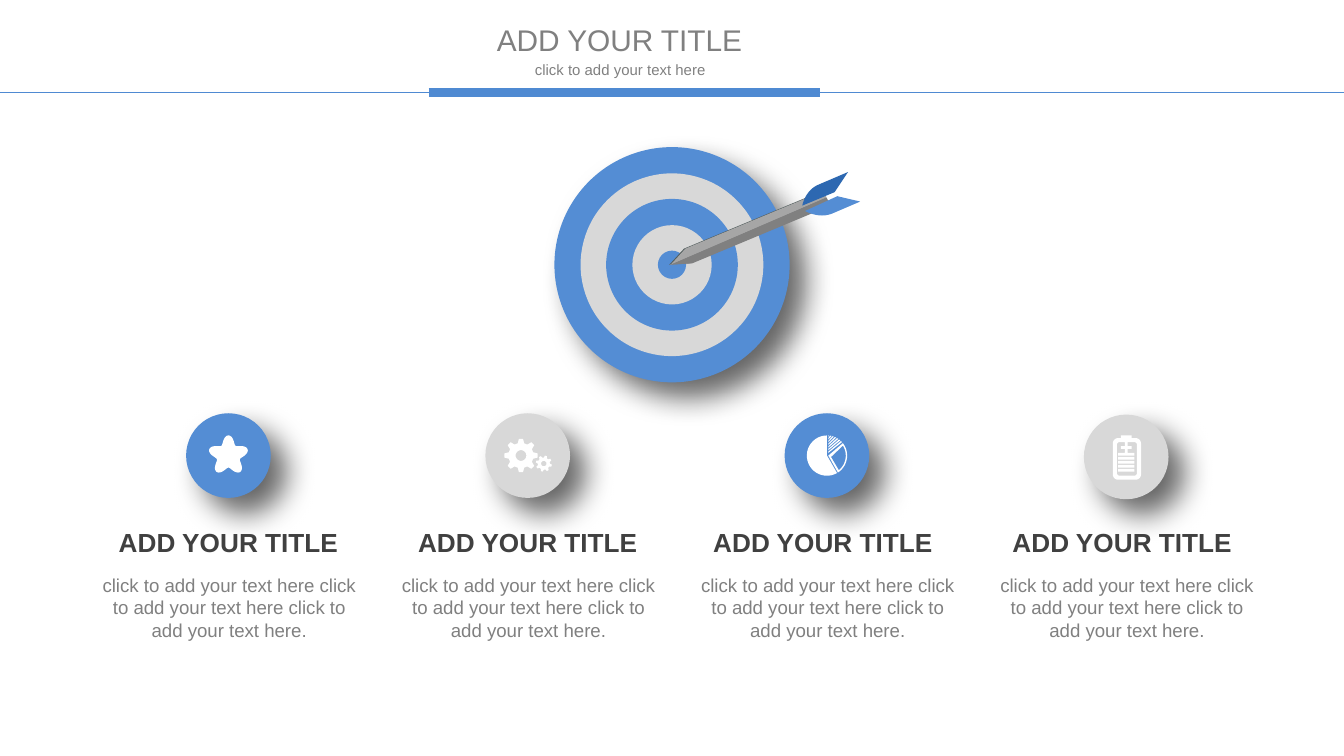
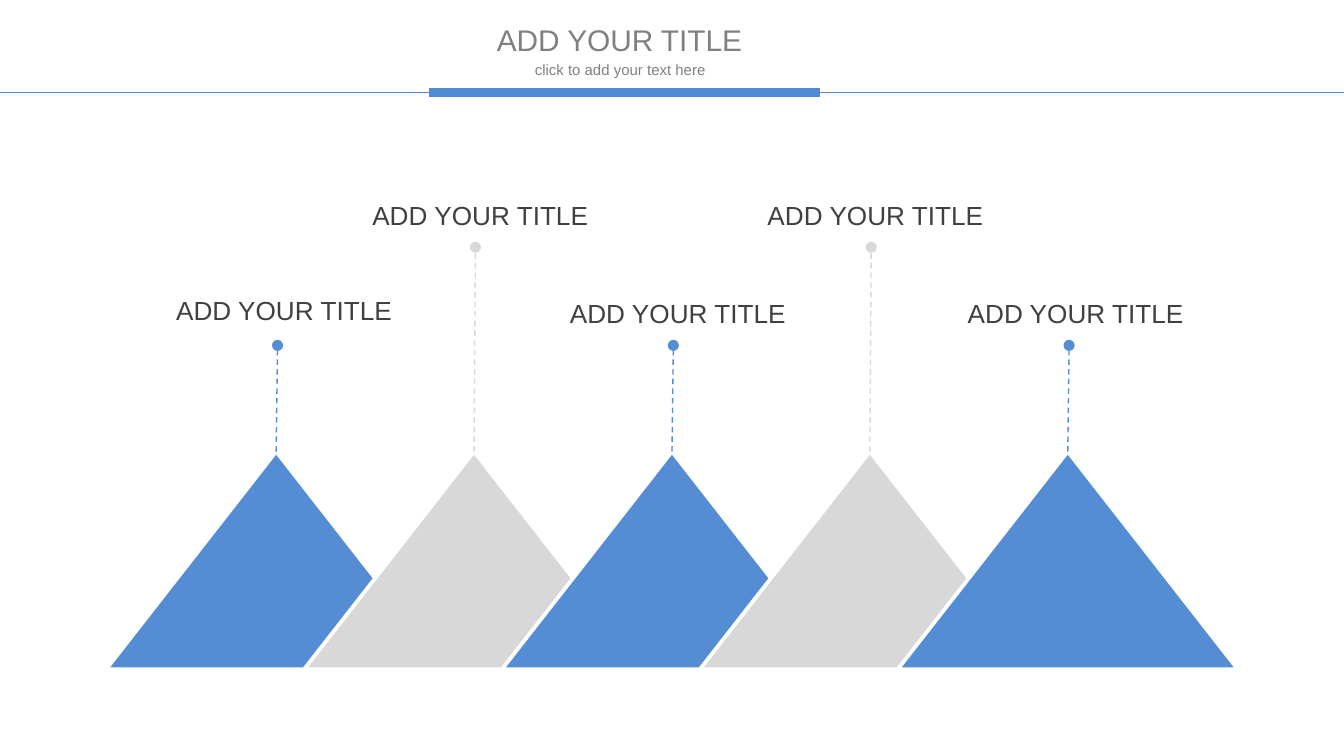
from math import cos, radians, sin

from pptx import Presentation
from pptx.dml.color import RGBColor
from pptx.enum.dml import MSO_LINE
from pptx.enum.shapes import MSO_CONNECTOR, MSO_SHAPE
from pptx.enum.text import MSO_ANCHOR, MSO_AUTO_SIZE, PP_ALIGN
from pptx.oxml.ns import qn
from pptx.util import Inches, Pt
from lxml.etree import SubElement

COLORS = {
    "blue": "548DD4", "band": "4F8AD2", "deep": "2D68B1", "silver": "D8D8D8",
    "white": "FFFFFF", "edge": "FEFFFF", "grey": "808080", "dark": "404040",
    "shaft_edge": "515D5D", "shaft_shade": "828286", "shaft_light": "A6A6A6",
}
FONT = "Arial"
TITLE = "ADD YOUR TITLE"
HINT = "click to add your text here"
BODY = " ".join([HINT] * 3) + "."
TIGHT = (0.07, 0.04)
DISC = 0.63


def rgb(name):
    return RGBColor.from_string(COLORS[name])


def put_text(sp, text, size, color, align=PP_ALIGN.CENTER, bold=False,
             wrap=True, inset=(0.1, 0.05)):
    tf = sp.text_frame
    tf.text = text
    tf.word_wrap = wrap
    tf.auto_size = MSO_AUTO_SIZE.SHAPE_TO_FIT_TEXT
    tf.vertical_anchor = MSO_ANCHOR.TOP
    tf.margin_left = tf.margin_right = Inches(inset[0])
    tf.margin_top = tf.margin_bottom = Inches(inset[1])
    p = tf.paragraphs[0]
    p.alignment = align
    p.font.name, p.font.size, p.font.bold = FONT, Pt(size), bold
    p.font.color.rgb = rgb(color)


def add_text(slide, box, *args, **kwargs):
    sp = slide.shapes.add_textbox(*map(Inches, box))
    put_text(sp, *args, **kwargs)


def paint(sp, color):
    sp.shadow.inherit = False
    sp.fill.solid()
    sp.fill.fore_color.rgb = rgb(color)
    sp.line.fill.background()


def add_preset(slide, kind, box, color):
    sp = slide.shapes.add_shape(kind, *map(Inches, box))
    paint(sp, color)
    return sp


def add_circle(slide, cx, cy, d, color):
    return add_preset(slide, MSO_SHAPE.OVAL, (cx - d / 2, cy - d / 2, d, d), color)


def add_line(slide, start, end, color, width):
    line = slide.shapes.add_connector(MSO_CONNECTOR.STRAIGHT,
                                      *map(Inches, (*start, *end)))
    line.line.color.rgb = rgb(color)
    line.line.width = Pt(width)
    SubElement(line._element.spPr, qn("a:effectLst"))
    return line


def drop_shadow(sp):
    effects = sp._element.spPr.find(qn("a:effectLst"))
    shadow = SubElement(effects, qn("a:outerShdw"), blurRad=str(Pt(16)),
                        dist=str(Pt(12)), dir="2700000", algn="tl",
                        rotWithShape="0")
    black = SubElement(shadow, qn("a:srgbClr"), val="000000")
    SubElement(black, qn("a:alpha"), val="60000")


def add_outline(slide, cx, cy, contours, color):
    """Fill closed contours around (cx, cy); nested ones become holes."""
    builder = None
    for contour in contours:
        points = [(Inches(cx + x), Inches(cy + y)) for x, y in contour]
        if builder is None:
            builder = slide.shapes.build_freeform(*points[0])
        else:
            builder.move_to(*points[0])
        builder.add_line_segments(points[1:], close=True)
    paint(builder.convert_to_shape(), color)


def polar(r, degrees, cx=0, cy=0):
    return cx + r * cos(radians(degrees)), cy + r * sin(radians(degrees))


def arc(r, start, end, cx=0, cy=0, steps=24):
    return [polar(r, start + (end - start) * i / steps, cx, cy)
            for i in range(steps + 1)]


def curve(p0, p1, p2, p3, steps=12):
    """Points of a cubic Bezier curve."""
    points = []
    for i in range(steps + 1):
        t = i / steps
        weights = ((1 - t) ** 3, 3 * t * (1 - t) ** 2, 3 * t * t * (1 - t), t ** 3)
        points.append(tuple(sum(w * p[axis] for w, p in zip(weights, (p0, p1, p2, p3)))
                            for axis in (0, 1)))
    return points


def rect(x, y, w, h):
    return [(x, y), (x + w, y), (x + w, y + h), (x, y + h)]


def round_rect(x, y, w, h, r):
    corners = ((x + w - r, y + h - r), (x + r, y + h - r), (x + r, y + r), (x + w - r, y + r))
    return [point for i, (cx, cy) in enumerate(corners)
            for point in arc(r, 90 * i, 90 * i + 90, cx, cy, 6)]


def star_icon(slide, cx, cy):
    star = [polar(0.12 + 0.03 * cos(radians(5 * a)), a - 90) for a in range(0, 360, 3)]
    add_outline(slide, cx, cy, [star], "white")


def add_gear(slide, cx, cy, r, hole, turn):
    teeth = [polar(r * k, 45 * i + a + turn) for i in range(8)
             for k, a in ((0.75, -15), (1, -7), (1, 7), (0.75, 15))]
    add_outline(slide, cx, cy, [teeth, arc(hole, 0, 360)], "white")


def gears_icon(slide, cx, cy):
    add_gear(slide, cx - 0.05, cy, 0.125, 0.04, 0)
    add_gear(slide, cx + 0.12, cy + 0.06, 0.06, 0.02, 15)


def pie_icon(slide, cx, cy):
    solid = [(0, 0)] + arc(0.15, 60, 270)
    wedge = [(0.01, 0)] + arc(0.15, -38, 57)
    wedge_hole = [(0.03, 0.01)] + arc(0.14, -32, 51)
    stripes = []
    for i in range(7):
        y, angle = -0.02 - 0.02 * i, -42 - 7 * i
        stripes.append([(0.01, y), polar(0.15, angle), polar(0.15, angle - 4),
                        (0.01, y - 0.01)])
    add_outline(slide, cx, cy, [solid, wedge, wedge_hole, *stripes], "white")


def battery_icon(slide, cx, cy):
    case = round_rect(-0.1, -0.14, 0.21, 0.31, 0.04)
    hollow = round_rect(-0.07, -0.11, 0.15, 0.25, 0.02)
    terminal = rect(-0.04, -0.16, 0.08, 0.02)
    bars = [rect(-0.06, -0.03 + 0.03 * i, 0.12, 0.02) for i in range(5)]
    a, b = 0.01, 0.04
    plus = [(x, y - 0.07) for x, y in (
        (-a, -b), (a, -b), (a, -a), (b, -a), (b, a), (a, a),
        (a, b), (-a, b), (-a, a), (-b, a), (-b, -a), (-a, -a))]
    add_outline(slide, cx, cy, [case, hollow, terminal, *bars, plus], "white")


def add_target(slide, cx, cy):
    for i, d in enumerate((1.75, 1.36, 0.98, 0.59, 0.21)):
        ring = add_circle(slide, cx, cy, d, ("blue", "silver")[i % 2])
        if i == 0:
            drop_shadow(ring)


def add_dart(slide, x, y):
    """Draw the dart with its tip at (x, y)."""
    tip = (0, 0)
    upper = [tip, (0.11, -0.12), (1.14, -0.55), (1.16, -0.5)]
    lower = [tip, (0.16, -0.01), (1.19, -0.44), (1.16, -0.5)]
    for shift, colors in ((-0.01, ("shaft_edge", "shaft_shade")),
                          (0, ("shaft_light", "grey"))):
        for half, color in zip((upper, lower), colors):
            add_outline(slide, x + shift, y, [half], color)
    top = curve((0.98, -0.44), (0.98, -0.44), (1, -0.56), (1.11, -0.6))
    add_outline(slide, x, y, [top + [(1.32, -0.69), (1.22, -0.54)]], "deep")
    bottom = curve((1, -0.4), (1, -0.4), (1.1, -0.34), (1.2, -0.38))
    add_outline(slide, x, y, [bottom + [(1.41, -0.47), (1.24, -0.51)]], "blue")


def add_column(slide, x, y, color, icon, title_dx):
    """Place a disc with its icon, title and text; (x, y) is the disc's centre."""
    drop_shadow(add_circle(slide, x, y, DISC, color))
    icon(slide, x, y)
    add_text(slide, (x - 1.03, 4.23, 2.07, 0.58), BODY, 10, "grey", inset=TIGHT)
    add_text(slide, (x + title_dx, 3.88, 2, 0.31), TITLE, 14, "dark",
             bold=True, inset=TIGHT)


def add_peak(slide, x, color, dot_y, label):
    """Place a triangle with its dashed pointer and label; x is its left edge."""
    peak = add_preset(slide, MSO_SHAPE.ISOSCELES_TRIANGLE, (x, 3.36, 2.53, 1.62), color)
    peak.line.color.rgb = rgb("edge")
    peak.line.width = Pt(2)
    apex = x + 2.53 / 2
    pointer = add_line(slide, (apex, 3.36), (apex + 0.01, dot_y), color, 0.75)
    pointer.begin_connect(peak, 0)
    pointer.line.dash_style = MSO_LINE.DASH
    SubElement(pointer.line._get_or_add_ln(), qn("a:tailEnd"), type="oval")
    add_text(slide, (*label, 1.78, 0.31), TITLE, 14, "dark",
             align=PP_ALIGN.LEFT, wrap=False, inset=TIGHT)


def add_titled_slide(prs):
    slide = prs.slides.add_slide(prs.slide_layouts[5])
    title = slide.shapes.title
    title.left, title.top, title.width, title.height = map(Inches, (3.58, 0.11, 2.06, 0.37))
    put_text(title, TITLE, 16, "grey", wrap=False)
    add_text(slide, (3.67, 0.4, 1.89, 0.24), HINT, 8, "grey")
    add_line(slide, (0, 0.69), (10, 0.69), "band", 0.75)
    add_line(slide, (3.19, 0.69), (6.1, 0.69), "band", 5)
    return slide


def build_target_slide(prs):
    slide = add_titled_slide(prs)
    columns = (
        ("blue", star_icon, 3.39, -1), ("silver", gears_icon, 3.39, -1),
        ("blue", pie_icon, 3.39, -1.03), ("silver", battery_icon, 3.4, -1.03))
    first, last = 1.7, 8.38
    pitch = (last - first) / (len(columns) - 1)
    for i, (color, icon, y, title_dx) in enumerate(columns):
        add_column(slide, first + pitch * i, y, color, icon, title_dx)
    add_target(slide, 5, 1.97)
    add_dart(slide, 4.99, 1.97)


def build_peaks_slide(prs):
    slide = add_titled_slide(prs)
    labels = ((1.24, 2.15), (2.7, 1.44), (4.17, 2.17), (5.64, 1.44), (7.13, 2.17))
    first, last = 0.79, 6.68
    pitch = (last - first) / (len(labels) - 1)
    for i, label in enumerate(labels):
        color, dot_y = (("blue", 2.57), ("silver", 1.84))[i % 2]
        add_peak(slide, first + pitch * i, color, dot_y, label)


def main():
    prs = Presentation()
    prs.slide_width, prs.slide_height = Inches(10), Inches(10 * 9 / 16)
    build_target_slide(prs)
    build_peaks_slide(prs)
    prs.save("out.pptx")


if __name__ == "__main__":
    main()
